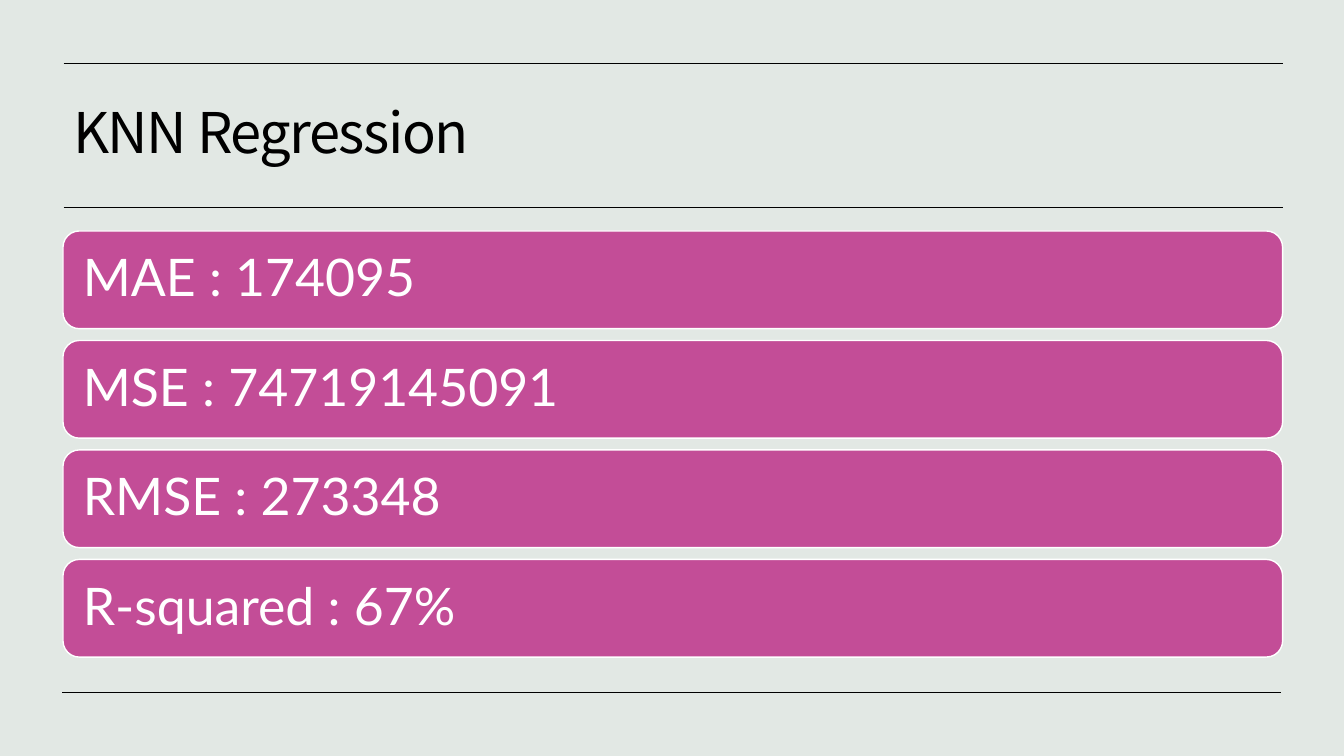
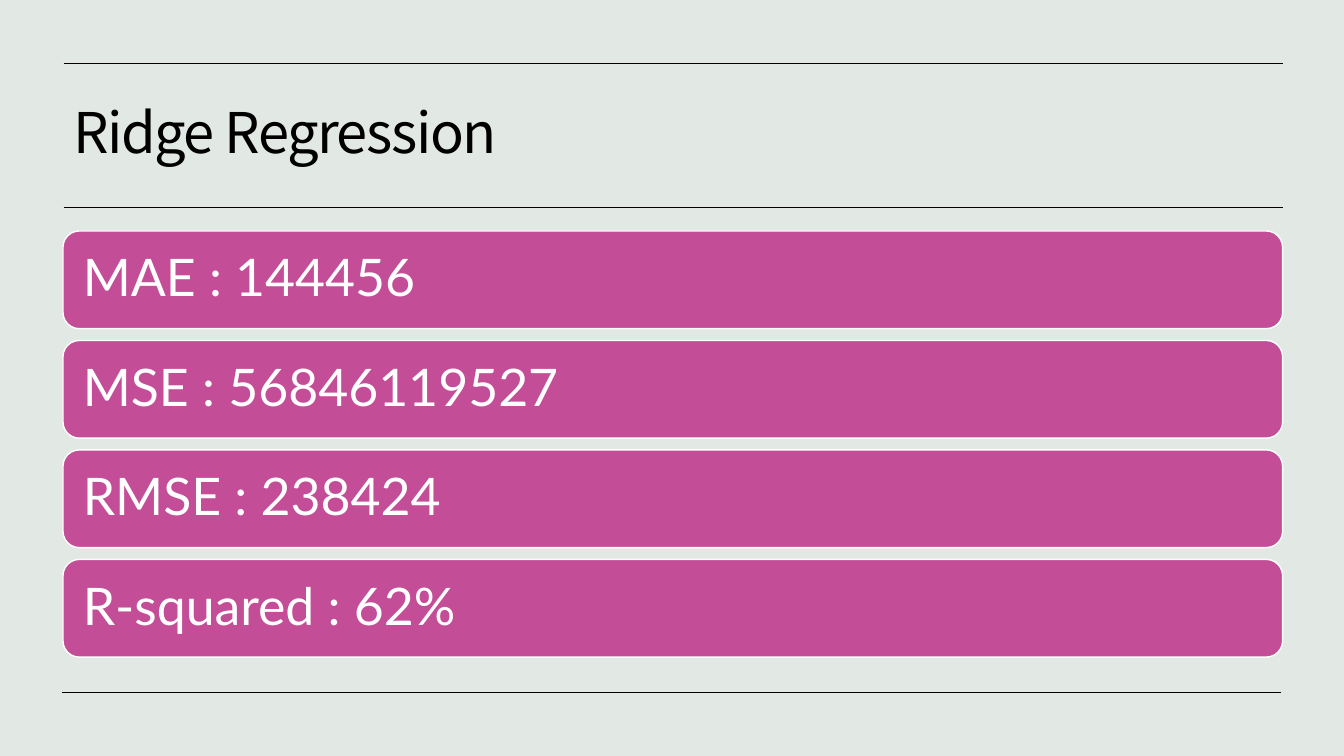
import dataclasses

import pptx
import pptx.dml.color
import pptx.enum.shapes
import pptx.enum.text
import pptx.oxml.ns
import pptx.presentation
import pptx.slide
import pptx.text.text
import pptx.util
from lxml import etree

Pt = pptx.util.Pt
RGB = pptx.dml.color.RGBColor


@dataclasses.dataclass(frozen=True)
class Theme:
    paper: RGB = RGB(0xE2, 0xE8, 0xE4)
    ink: RGB = RGB(0x00, 0x00, 0x00)
    bar: RGB = RGB(0xC3, 0x4D, 0x97)
    white: RGB = RGB(0xFF, 0xFF, 0xFF)
    head: str = "Noto Sans CJK KR"
    body: str = "Lato"
    head_size: float = 40
    body_size: float = 37


@dataclasses.dataclass(frozen=True)
class Rule:
    left: float
    right: float
    top: float


@dataclasses.dataclass(frozen=True)
class Score:
    name: str
    value: str


@dataclasses.dataclass(frozen=True)
class Model:
    title: str
    scores: tuple[Score, ...]


THEME = Theme()
LEFT, WIDTH = 45, 871.2
BAR_TOP, BAR_HIGH, BAR_GAP = 165, 69.8, 8.4
RULES = (
    Rule(44.6, 915.1, 494.9),
    Rule(45.4, 916.6, 148.2),
    Rule(45.4, 916.6, 45),
)
MODELS = (
    Model("KNN Regression", (
        Score("MAE", "174095"),
        Score("MSE", "74719145091"),
        Score("RMSE", "273348"),
        Score("R-squared", "67%"),
    )),
    Model("Ridge Regression", (
        Score("MAE", "144456"),
        Score("MSE", "56846119527"),
        Score("RMSE", "238424"),
        Score("R-squared", "62%"),
    )),
)


def write(frame: pptx.text.text.TextFrame, text: str, font: str,
          size: float, color: RGB) -> pptx.text.text._Run:
    """Add one left-aligned run, centred vertically in its frame."""
    frame.word_wrap = True
    frame.auto_size = pptx.enum.text.MSO_AUTO_SIZE.NONE
    frame.vertical_anchor = pptx.enum.text.MSO_ANCHOR.MIDDLE
    para = frame.paragraphs[0]
    para.alignment = pptx.enum.text.PP_ALIGN.LEFT
    para.line_spacing = 0.9
    run = para.add_run()
    run.text = text
    run.font.name = font
    run.font.size = Pt(size)
    run.font.color.rgb = color
    return run


def add_rule(slide: pptx.slide.Slide, rule: Rule) -> None:
    line = slide.shapes.add_connector(
        pptx.enum.shapes.MSO_CONNECTOR.STRAIGHT,
        Pt(rule.left), Pt(rule.top), Pt(rule.right), Pt(rule.top))
    line.line.color.rgb = THEME.ink
    line.line.width = Pt(0.5)
    props = line._element.spPr
    etree.SubElement(props, pptx.oxml.ns.qn("a:effectLst"))


def add_title(slide: pptx.slide.Slide, text: str) -> None:
    title = slide.shapes.title
    title.left, title.top = Pt(LEFT), Pt(54)
    title.width, title.height = Pt(869.8), Pt(85.7)
    run = write(title.text_frame, text, THEME.head, THEME.head_size, THEME.ink)
    props = run.font._element
    props.set("spc", "-100")
    face = etree.SubElement(props, pptx.oxml.ns.qn("a:ea"))
    face.set("typeface", THEME.head)


def add_bar(slide: pptx.slide.Slide, row: int, score: Score) -> None:
    top = BAR_TOP + row * (BAR_HIGH + BAR_GAP)
    bar = slide.shapes.add_shape(
        pptx.enum.shapes.MSO_SHAPE.ROUNDED_RECTANGLE,
        Pt(LEFT), Pt(top), Pt(WIDTH), Pt(BAR_HIGH))
    bar.shadow.inherit = False
    bar.fill.solid()
    bar.fill.fore_color.rgb = THEME.bar
    bar.line.color.rgb = THEME.white
    bar.line.width = Pt(1)
    frame = bar.text_frame
    frame.margin_left = frame.margin_right = Pt(10.8)
    frame.margin_top = frame.margin_bottom = Pt(0)
    write(frame, f"{score.name} : {score.value}",
          THEME.body, THEME.body_size, THEME.white)


def add_model(deck: pptx.presentation.Presentation, model: Model) -> None:
    slide = deck.slides.add_slide(deck.slide_layouts.get_by_name("Title Only"))
    for rule in RULES:
        add_rule(slide, rule)
    add_title(slide, model.title)
    for row, score in enumerate(model.scores):
        add_bar(slide, row, score)


def main() -> None:
    deck = pptx.Presentation()
    deck.slide_width, deck.slide_height = Pt(960), Pt(540)
    fill = deck.slide_master.background.fill
    fill.solid()
    fill.fore_color.rgb = THEME.paper
    for model in MODELS:
        add_model(deck, model)
    deck.save("out.pptx")


if __name__ == "__main__":
    main()
